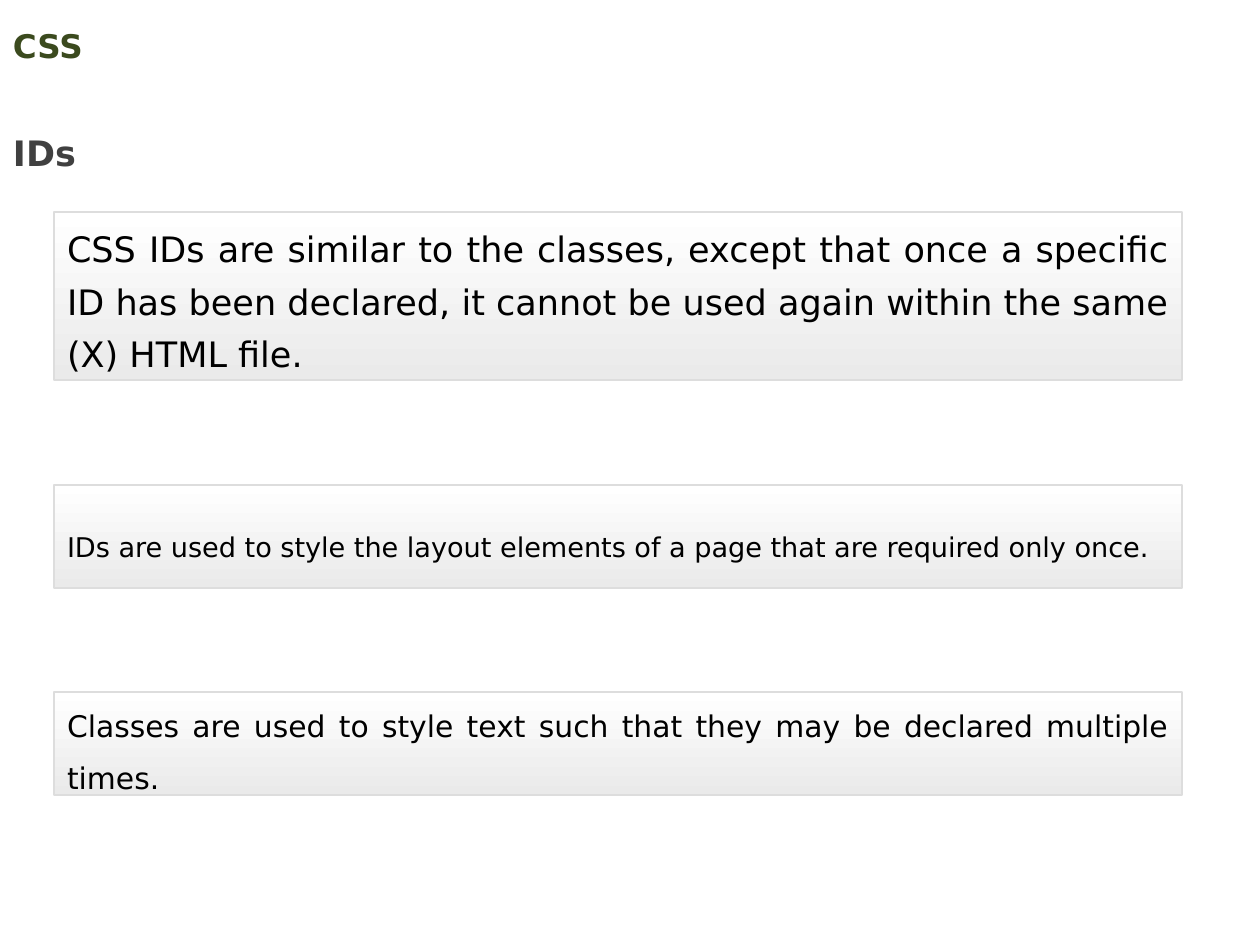
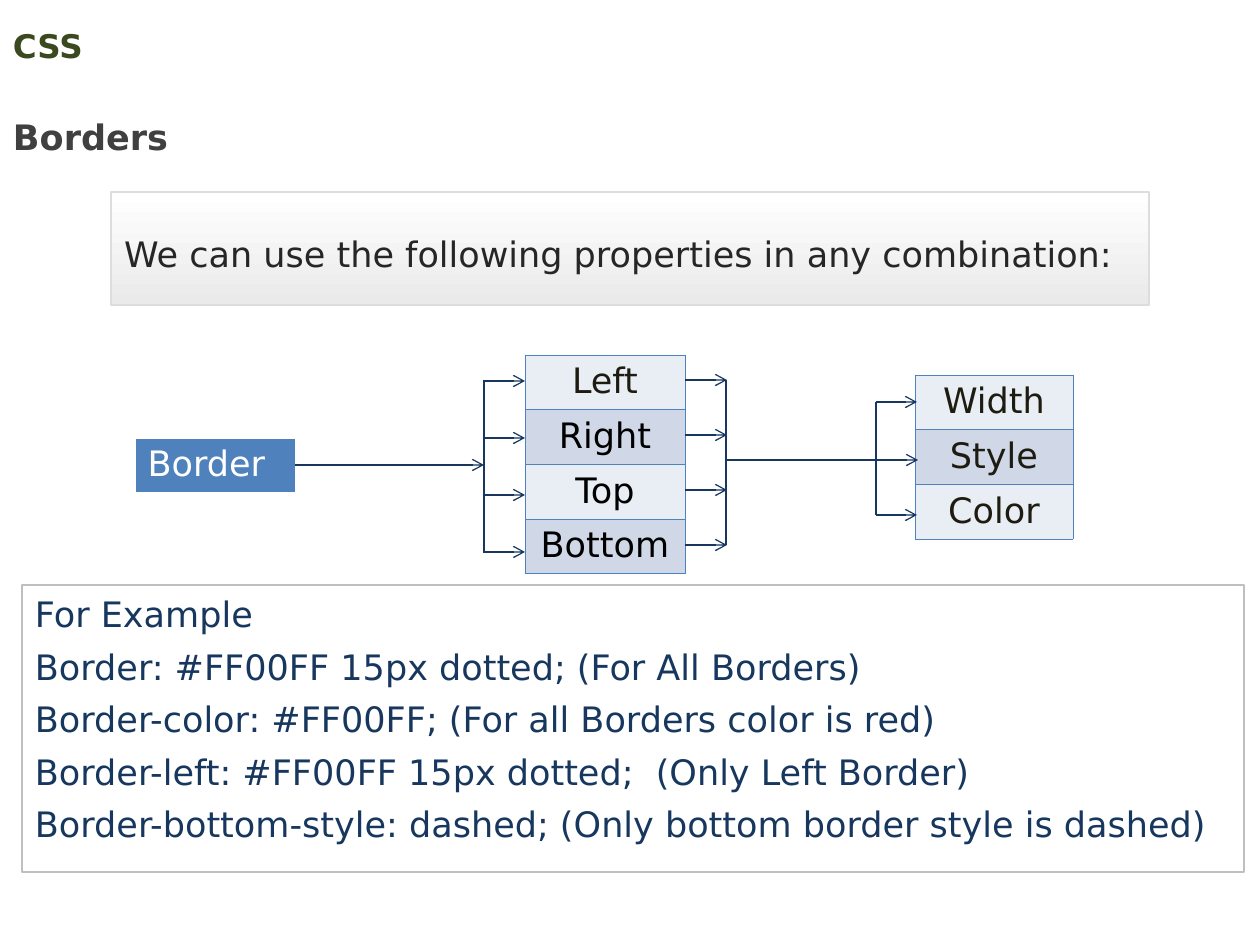
from dataclasses import dataclass, field
from typing import Any

from lxml import etree
from pptx import Presentation
from pptx import util as u
from pptx.dml.color import RGBColor
from pptx.enum import shapes, text
from pptx.oxml.ns import qn

ALIGN, ANCHOR = text.PP_ALIGN, text.MSO_ANCHOR


# Theme: colours, font and type sizes
@dataclass(frozen=True)
class Theme:
    font: str = "DejaVu Sans"
    title: str = "3B4A1E"
    head: str = "404040"
    black: str = "000000"
    dark: str = "262626"
    brown: str = "1E1C11"
    navy: str = "17375E"
    white: str = "FFFFFF"
    shade: str = "EAEAEA"
    edge: str = "DDDDDD"
    frame: str = "BFBFBF"
    blue: str = "4F81BD"
    bands: tuple[str, str] = ("E9EDF4", "D0D8E8")
    small: float = 15.5
    mid: float = 17
    top: float = 18.6
    base: float = 20


T = Theme()
Area = tuple[int, int, int, int]


# Repeated elements, lengths in px
@dataclass(frozen=True)
class Panel:
    area: Area
    line: str
    size: float = T.base
    color: str = T.black
    align: Any = ALIGN.JUSTIFY
    inset: int = 13


@dataclass(frozen=True)
class Grid:
    area: Area
    words: list[str]
    inks: list[str]
    fills: tuple[str, ...] = T.bands
    edge: str = T.blue
    foot: float = 0.45
    align: Any = ALIGN.CENTER


@dataclass(frozen=True)
class Comb:
    left: int
    right: int
    spine: int
    top: int
    step: int
    count: int


@dataclass(frozen=True)
class Style:
    size: float
    color: str
    bold: bool = False
    para: dict[str, Any] = field(default_factory=dict)


def px(n: float) -> u.Emu:
    return u.Emu(round(n * 914400 / 126))


def rgb(code: str) -> RGBColor:
    return RGBColor.from_string(code)


def apply(item: Any, values: dict[str, Any]) -> None:
    for key, value in values.items():
        setattr(item, key, value)


def place(shape: Any, area: Area) -> None:
    apply(shape, dict(zip(("left", "top", "width", "height"), map(px, area))))


def write(frame: Any, lines: list[str], style: Style) -> None:
    for i, line in enumerate(lines):
        para = frame.paragraphs[0] if i == 0 else frame.add_paragraph()
        apply(para, style.para)
        run = para.add_run()
        run.text = line
        apply(run.font, {"name": T.font, "size": u.Pt(style.size), "bold": style.bold})
        run.font.color.rgb = rgb(style.color)


def setup(frame: Any, anchor: Any, inset: int = 6) -> None:
    apply(frame, {
        "word_wrap": True, "auto_size": text.MSO_AUTO_SIZE.NONE,
        "vertical_anchor": anchor,
        "margin_left": px(13), "margin_right": px(13),
        "margin_top": px(inset), "margin_bottom": px(inset),
    })


def stroke(line: Any, color: str, width: float) -> None:
    line.color.rgb = rgb(color)
    line.width = u.Pt(width)


# Slide with the shared title and a heading
def start(deck: Any, layout: int, head: str, top: int) -> Any:
    slide = deck.slides.add_slide(deck.slide_layouts[layout])
    title = slide.shapes.title
    place(title, (0, 18, 1134, 54))
    setup(title.text_frame, ANCHOR.MIDDLE)
    write(title.text_frame, ["CSS"],
          Style(T.top, T.title, True, {"alignment": ALIGN.LEFT}))
    box = slide.shapes.add_textbox(*map(px, (0, top, 485, 76)))
    setup(box.text_frame, ANCHOR.TOP)
    write(box.text_frame, [head],
          Style(T.base, T.head, True, {"line_spacing": 1.5}))
    return slide


# Shaded text panel
def draw_panel(slide: Any, panel: Panel) -> None:
    box = slide.shapes.add_shape(shapes.MSO_SHAPE.RECTANGLE, *map(px, panel.area))
    box.shadow.inherit = False
    box.fill.gradient()
    box.fill.gradient_angle = 270
    for stop, color in zip(box.fill.gradient_stops, (T.white, T.shade)):
        stop.color.rgb = rgb(color)
    stroke(box.line, T.edge, 1)
    setup(box.text_frame, ANCHOR.MIDDLE, panel.inset)
    write(box.text_frame, [panel.line], Style(panel.size, panel.color, para={
        "alignment": panel.align, "line_spacing": u.Pt(30), "space_after": u.Pt(5)}))


# One-column table
def draw_edges(cell: Any, color: str, foot: float) -> None:
    props = cell._tc.get_or_add_tcPr()
    for i, side in enumerate(("lnL", "lnR", "lnT", "lnB")):
        width = foot if side == "lnB" else 0.45
        edge = etree.Element(qn(f"a:{side}"), w=str(u.Pt(width)))
        fill = etree.SubElement(edge, qn("a:solidFill"))
        etree.SubElement(fill, qn("a:srgbClr"), val=color)
        props.insert(i, edge)


def draw_grid(slide: Any, grid: Grid) -> None:
    table = slide.shapes.add_table(len(grid.words), 1, *map(px, grid.area)).table
    apply(table, {"first_row": False, "horz_banding": False})
    for i, (word, ink) in enumerate(zip(grid.words, grid.inks)):
        cell = table.cell(i, 0)
        cell.fill.solid()
        cell.fill.fore_color.rgb = rgb(grid.fills[i % len(grid.fills)])
        draw_edges(cell, grid.edge, grid.foot)
        write(cell.text_frame, [word],
              Style(T.base, ink, para={"alignment": grid.align}))


# Lines and arrows
def draw_link(slide: Any, ends: Area, arrow: bool = True) -> None:
    link = slide.shapes.add_connector(shapes.MSO_CONNECTOR.STRAIGHT, *map(px, ends))
    stroke(link.line, T.navy, 0.75)
    props = link.element.spPr
    if arrow:
        etree.SubElement(props.find(qn("a:ln")), qn("a:tailEnd"), type="arrow")
    etree.SubElement(props, qn("a:effectLst"))


def draw_comb(slide: Any, comb: Comb) -> None:
    rows = [comb.top + i * comb.step for i in range(comb.count)]
    for y in rows:
        draw_link(slide, (comb.left, y, comb.right, y))
    draw_link(slide, (comb.spine, rows[0], comb.spine, rows[-1]), arrow=False)


# Framed list in the body placeholder
def draw_list(slide: Any, area: Area, lines: list[str]) -> None:
    body = slide.placeholders[1]
    place(body, area)
    stroke(body.line, T.frame, 0.75)
    setup(body.text_frame, ANCHOR.TOP)
    write(body.text_frame, lines, Style(T.base, T.navy, para={
        "line_spacing": u.Pt(25), "space_before": u.Pt(5), "space_after": u.Pt(0)}))
    for para in body.text_frame.paragraphs:
        props = para._p.get_or_add_pPr()
        apply_xml = {"marL": str(px(33)), "indent": str(px(-33))}
        props.attrib.update(apply_xml)
        etree.SubElement(props, qn("a:buNone"))


def build_ids(deck: Any) -> None:
    slide = start(deck, 5, "IDs", 105)
    for panel in (
        Panel((54, 212, 1128, 168),
              "CSS IDs are similar to the classes, except that once a specific ID has "
              "been declared, it cannot be used again within the same (X) HTML file."),
        Panel((54, 485, 1128, 103),
              "IDs are used to style the layout elements of a page that are required "
              "only once.", T.small),
        Panel((54, 692, 1128, 103),
              "Classes are used to style text such that they may be declared multiple "
              "times.", T.mid),
    ):
        draw_panel(slide, panel)


def build_borders(deck: Any) -> None:
    slide = start(deck, 1, "Borders", 89)
    draw_panel(slide, Panel((111, 192, 1038, 113),
                            "We can use the following properties in any combination:",
                            color=T.dark, align=ALIGN.LEFT, inset=0))
    for grid in (
        Grid((135, 438, 160, 55), ["Border"], [T.white], (T.blue,), T.white, 1.47,
             ALIGN.LEFT),
        Grid((525, 355, 160, 219), ["Left", "Right", "Top", "Bottom"],
             [T.brown] + [T.black] * 3),
        Grid((915, 375, 158, 164), ["Width", "Style", "Color"], [T.brown] * 3),
    ):
        draw_grid(slide, grid)
    for comb in (
        Comb(483, 525, 484, 381, 57, 4),
        Comb(685, 727, 726, 380, 55, 4),
        Comb(876, 917, 876, 402, 113, 2),
    ):
        draw_comb(slide, comb)
    for stem in ((295, 465, 484, 465), (725, 460, 918, 460)):
        draw_link(slide, stem)
    draw_list(slide, (22, 585, 1222, 287), [
        "For Example",
        "Border: #FF00FF 15px dotted; (For All Borders)",
        "Border-color: #FF00FF; (For all Borders color is red)",
        "Border-left: #FF00FF 15px dotted;  (Only Left Border)",
        "Border-bottom-style: dashed; (Only bottom border style is dashed)",
    ])


def main() -> None:
    deck = Presentation()
    apply(deck, {"slide_width": px(1260), "slide_height": px(945)})
    build_ids(deck)
    build_borders(deck)
    deck.save("out.pptx")


if __name__ == "__main__":
    main()
